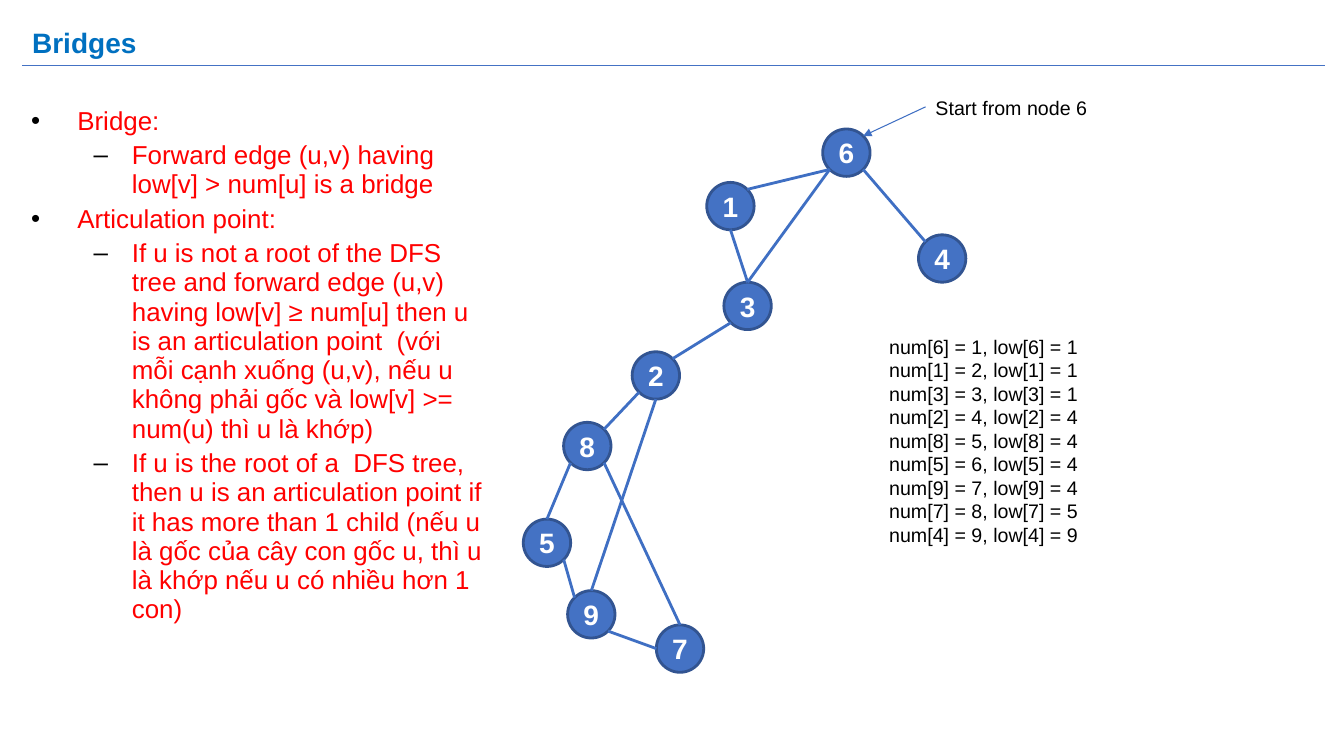
from dataclasses import dataclass
from math import cos, pi, sin

from lxml.etree import SubElement
from pptx import Presentation
from pptx.dml.color import RGBColor
from pptx.enum.shapes import MSO_CONNECTOR, MSO_SHAPE
from pptx.enum.text import MSO_ANCHOR, PP_ALIGN
from pptx.oxml.ns import qn
from pptx.util import Inches, Pt

CELL = Inches(0.1)  # the slide is a grid of 133.3 columns by 75 rows


@dataclass(frozen=True)
class Theme:
    """Colours and type sizes of the slide."""
    font: str = "Arial"
    title: str = "0070C0"
    rule: str = "4472C4"
    definition: str = "FF0000"
    text: str = "000000"
    node: str = "4472C4"
    node_outline: str = "325491"
    node_text: str = "FFFFFF"
    edge: str = "3F6FC3"
    heading_size: float = 20
    body_size: float = 18.5
    note_size: float = 14
    thin: float = 0.75
    thick: float = 2


@dataclass(frozen=True)
class Box:
    """A rectangle in grid cells."""
    left: float
    top: float
    width: float
    height: float

    def inner(self, column, row, width, height):
        """Return a box placed relative to this one."""
        return Box(self.left + column, self.top + row, width, height)

    def lengths(self):
        """Return the rectangle in slide units."""
        return [cells(n) for n in (self.left, self.top, self.width, self.height)]


THEME = Theme()

DEFINITIONS = [
    (0, "Bridge:"),
    (1, "Forward edge (u,v) having low[v] > num[u] is a bridge"),
    (0, "Articulation point:"),
    (1, "If u is not a root of the DFS tree and forward edge (u,v) having "
        "low[v] ≥ num[u] then u is an articulation point\u00a0 (với mỗi cạnh xuống "
        "(u,v), nếu u không phải gốc và low[v] >= num(u) thì u là khớp)"),
    (1, "If u is the root of a\u00a0 DFS tree, then u is an articulation point if "
        "it has more than 1 child (nếu u là gốc của cây con gốc u,\u00a0thì u là "
        "khớp nếu u có nhiều hơn 1 con)"),
]
BULLETS = [("•", 0.46, 0.46), ("–", 1, 0.38)]  # mark, margin, hanging indent

NODE_SIZE = 4.7
NODES = {  # column and row inside the graph
    6: (29.7, 0), 1: (18.2, 5.3), 3: (19.9, 15.2), 2: (10.8, 22.1),
    8: (4, 29.1), 5: (0, 38.7), 9: (4.4, 45.8), 7: (13.2, 49.2), 4: (39.2, 10.5),
}
# Connection sites of an ellipse, counter-clockwise from the top
(TOP, TOP_LEFT, LEFT, BOTTOM_LEFT,
 BOTTOM, BOTTOM_RIGHT, RIGHT, TOP_RIGHT) = range(8)
EDGES = [
    (1, TOP_RIGHT, 6, BOTTOM_LEFT), (1, BOTTOM, 3, TOP), (6, BOTTOM_LEFT, 3, TOP),
    (2, TOP_RIGHT, 3, BOTTOM_LEFT), (2, BOTTOM_LEFT, 8, TOP_RIGHT),
    (8, BOTTOM_LEFT, 5, TOP), (5, BOTTOM_RIGHT, 9, TOP_LEFT), (9, TOP, 2, BOTTOM),
    (9, BOTTOM_RIGHT, 7, LEFT), (8, BOTTOM_RIGHT, 7, TOP),
    (4, TOP_LEFT, 6, BOTTOM_RIGHT),
]
VISIT_ORDER = [6, 1, 3, 2, 8, 5, 9, 7, 4]
LOW_VALUES = [1, 1, 1, 4, 4, 4, 4, 5, 9]


def cells(count):
    """Convert grid cells to slide units."""
    return round(count * CELL)


def style_font(paragraph, size, color, bold=False):
    """Set the font of a paragraph."""
    font = paragraph.font
    font.name, font.size, font.bold = THEME.font, Pt(size), bold
    font.color.rgb = RGBColor.from_string(color)


def add_text(slide, box, lines, size, color, bold=False):
    """Add a wrapping text box with one paragraph per line."""
    frame = slide.shapes.add_textbox(*box.lengths()).text_frame
    frame.word_wrap = True
    frame.text = "\n".join(lines)
    for paragraph in frame.paragraphs:
        style_font(paragraph, size, color, bold)
    return frame


def add_line(slide, start, end, color, width):
    """Add a straight connector without shadow between two points."""
    line = slide.shapes.add_connector(MSO_CONNECTOR.STRAIGHT, *start, *end)
    line.line.color.rgb = RGBColor.from_string(color)
    line.line.width = Pt(width)
    SubElement(line._element.spPr, qn("a:effectLst"))
    return line


def site_point(node, site):
    """Return the position of a connection site on a node."""
    angle = site * pi / 4
    return (round(node.left + node.width * (1 - sin(angle)) / 2),
            round(node.top + node.height * (1 - cos(angle)) / 2))


def glue(line, tag, node, site):
    """Attach one end of a connector to a node's site."""
    properties = line._element.find(qn("p:nvCxnSpPr")).find(qn("p:cNvCxnSpPr"))
    SubElement(properties, qn(tag), id=str(node.shape_id), idx=str(site))


def add_bullet(paragraph, level):
    """Give a paragraph the hanging bullet of its level."""
    mark, margin, hanging = BULLETS[level]
    paragraph.level = level
    properties = paragraph._p.get_or_add_pPr()
    properties.set("marL", str(Inches(margin)))
    properties.set("indent", str(-Inches(hanging)))
    color = SubElement(properties, qn("a:buClr"))
    SubElement(color, qn("a:srgbClr"), val=THEME.text)
    SubElement(properties, qn("a:buFont"), typeface=THEME.font)
    SubElement(properties, qn("a:buChar"), char=mark)


def add_heading(slide, box):
    """Add the title and the rule across its lower part."""
    frame = add_text(slide, box, ["Bridges"], THEME.heading_size, THEME.title, True)
    frame.vertical_anchor = MSO_ANCHOR.MIDDLE
    frame.paragraphs[0].line_spacing = 0.9
    rule_row = cells(box.top + 5)
    add_line(slide, (cells(box.left), rule_row),
             (cells(box.left + box.width), rule_row), THEME.rule, THEME.thin)


def add_definitions(slide, box):
    """Add the bulleted definitions."""
    frame = add_text(slide, box, [text for _, text in DEFINITIONS],
                     THEME.body_size, THEME.definition)
    for paragraph, (level, _) in zip(frame.paragraphs, DEFINITIONS):
        paragraph.line_spacing = 0.94
        paragraph.space_before = Pt(0.2 * THEME.body_size)
        add_bullet(paragraph, level)


def add_node(slide, box, number):
    """Add one numbered graph node."""
    node = slide.shapes.add_shape(MSO_SHAPE.OVAL, *box.lengths())
    node.shadow.inherit = False
    node.fill.solid()
    node.fill.fore_color.rgb = RGBColor.from_string(THEME.node)
    node.line.color.rgb = RGBColor.from_string(THEME.node_outline)
    node.line.width = Pt(THEME.thick)
    frame = node.text_frame
    frame.margin_left = frame.margin_right = frame.margin_top = frame.margin_bottom = 0
    frame.vertical_anchor = MSO_ANCHOR.MIDDLE
    paragraph = frame.paragraphs[0]
    paragraph.text = str(number)
    paragraph.alignment = PP_ALIGN.CENTER
    style_font(paragraph, THEME.heading_size, THEME.node_text, True)
    return node


def add_graph(slide, box):
    """Add the nodes, the edges and the note on the start node."""
    nodes = {number: add_node(slide, box.inner(*place, NODE_SIZE, NODE_SIZE), number)
             for number, place in NODES.items()}
    for first, first_site, second, second_site in EDGES:
        ends = nodes[first], nodes[second]
        edge = add_line(slide, site_point(ends[0], first_site),
                        site_point(ends[1], second_site), THEME.edge, THEME.thick)
        glue(edge, "a:stCxn", ends[0], first_site)
        glue(edge, "a:endCxn", ends[1], second_site)
    note = box.inner(39.9, -3.8, 20.1, 3.4)
    add_text(slide, note, ["Start from node 6"], THEME.note_size, THEME.text)
    arrow = add_line(slide, (cells(note.left), cells(note.top + 1.6)),
                     site_point(nodes[6], TOP_RIGHT), THEME.edge, THEME.thin)
    glue(arrow, "a:endCxn", nodes[6], TOP_RIGHT)
    SubElement(arrow.line._get_or_add_ln(), qn("a:tailEnd"), type="triangle")


def add_numbering(slide, box):
    """Add the num and low values in visiting order."""
    lines = [f"num[{node}] = {order}, low[{node}] = {low}"
             for order, (node, low) in enumerate(zip(VISIT_ORDER, LOW_VALUES), 1)]
    add_text(slide, box, lines, THEME.note_size, THEME.text)


presentation = Presentation()
presentation.slide_width, presentation.slide_height = Inches(13.33), Inches(7.5)
bridges = presentation.slides.add_slide(presentation.slide_layouts[6])
add_heading(bridges, Box(2.2, 1.5, 129.2, 5.9))
add_definitions(bridges, Box(2.1, 10.1, 47.3, 54.7))
add_graph(bridges, Box(51.9, 12.8, 43.9, 53.9))
add_numbering(bridges, Box(87.2, 32.7, 37.8, 28.3))
presentation.save("out.pptx")
